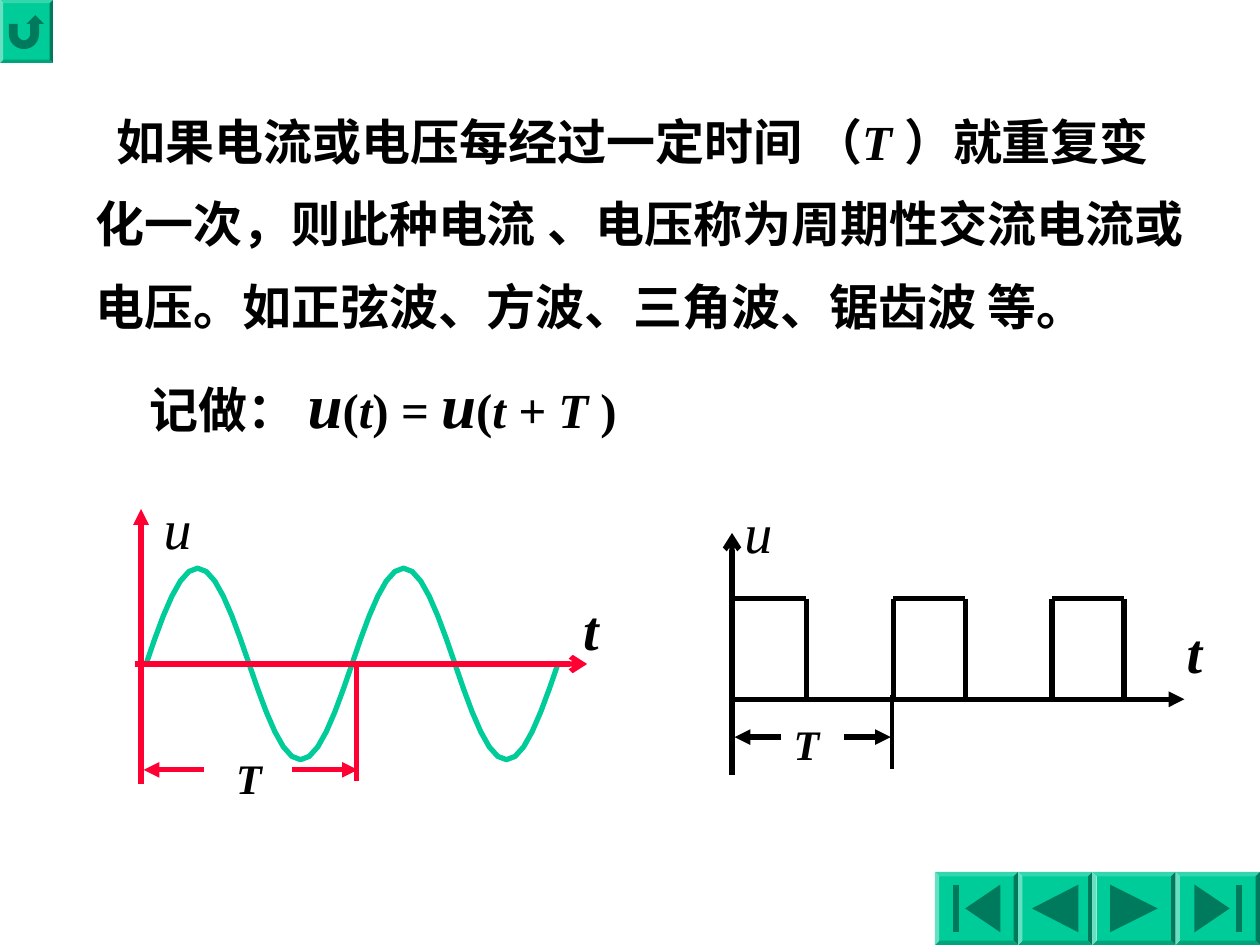
from dataclasses import dataclass
from math import cos, pi, sin

from lxml import etree
from pptx import Presentation
from pptx import util as u
from pptx.enum import shapes, text
from pptx.dml import color
from pptx.oxml import ns

HUES = {"red": "FF0033", "green": "00CC99", "dark": "007A5C", "black": "000000"}
LATIN, HAN = "Times New Roman", "Noto Sans CJK SC"
Point = tuple[float, float]


@dataclass
class Stroke:
    start: Point
    end: Point
    tip: str = ""
    width: float = 3


@dataclass
class Run:
    words: str
    size: float = 28
    italic: bool = False
    bold: bool = True
    font: str = LATIN


@dataclass
class Label:
    run: Run
    left: float
    top: float
    width: float
    height: float
    wrap: bool = True
    center: bool = False


@dataclass
class Button:
    left: float
    top: float
    width: float
    height: float
    bevel: float
    icons: list[list[Point]]


def hue(name: str) -> color.RGBColor:
    return color.RGBColor.from_string(HUES[name])


def draw_path(tree, points: list[Point], close: bool):
    spots = [(x * 1000, y * 1000) for x, y in points]
    pen = tree.build_freeform(*spots[0], scale=914.4)
    pen.add_line_segments(spots[1:], close=close)
    shape = pen.convert_to_shape()
    shape.shadow.inherit = False
    return shape


def draw_stroke(tree, stroke: Stroke, tint: str) -> None:
    ends = [u.Inches(n) for n in (*stroke.start, *stroke.end)]
    line = tree.add_connector(shapes.MSO_CONNECTOR.STRAIGHT, *ends)
    line.line.color.rgb = hue(tint)
    line.line.width = u.Pt(stroke.width)
    if stroke.tip:
        etree.SubElement(line.line._get_or_add_ln(), ns.qn("a:tailEnd"), type=stroke.tip)
    etree.SubElement(line.element.spPr, ns.qn("a:effectLst"))


def add_run(para, run: Run) -> None:
    piece = para.add_run()
    piece.text = run.words
    font = piece.font
    font.size, font.bold, font.italic = u.Pt(run.size), run.bold, run.italic
    font.color.rgb = hue("black")
    font.name = run.font
    etree.SubElement(piece.font._element, ns.qn("a:ea"), typeface=HAN)


def draw_label(tree, label: Label) -> None:
    place = (label.left, label.top, label.width, label.height)
    frame = tree.add_textbox(*map(u.Inches, place)).text_frame
    frame.word_wrap = label.wrap
    para = frame.paragraphs[0]
    if label.center:
        para.alignment = text.PP_ALIGN.CENTER
    add_run(para, label.run)


def draw_button(tree, button: Button) -> None:
    place = (button.left, button.top, button.width, button.height)
    base = tree.add_shape(shapes.MSO_SHAPE.BEVEL, *map(u.Inches, place))
    base.adjustments[0] = button.bevel
    base.shadow.inherit = False
    base.fill.solid()
    base.fill.fore_color.rgb = hue("green")
    base.line.fill.background()
    for points in button.icons:
        icon = draw_path(tree, points, True)
        icon.fill.solid()
        icon.fill.fore_color.rgb = hue("dark")
        icon.line.fill.background()


def arc(x: float, y: float, size: float, start: float, end: float) -> list[Point]:
    turns = [start + (end - start) * i / 12 for i in range(13)]
    return [(x + size * cos(a), y + size * sin(a)) for a in turns]


def wedge(tip: float, back: float) -> list[Point]:
    return [(tip, 7.21), (back, 7.02), (back, 7.4)]


def bar(left: float) -> list[Point]:
    right = left + 0.05
    return [(left, 7.02), (right, 7.02), (right, 7.4), (left, 7.4)]


def draw_body(tree) -> None:
    place = (0.66, 0.65, 8.91, 2.9)
    frame = tree.add_textbox(*map(u.Inches, place)).text_frame
    frame.word_wrap = True
    prose = [
        Run("如果电流或电压每经过一定时间", font=HAN),
        Run(" （"),
        Run("T ", italic=True),
        Run("）"),
        Run("就重复变化一次，则此种电流 、电压称为周期性交流电流或电压", font=HAN),
        Run("。如正弦波、方波、三角波、锯齿波 等。"),
    ]
    rule = [
        Run("记做： "),
        Run("u", 36, True),
        Run("("),
        Run("t", italic=True),
        Run(") = "),
        Run("u", 36, True),
        Run("("),
        Run("t + T", italic=True),
        Run(" )"),
    ]
    for i, (runs, inset) in enumerate([(prose, 0.17), (rule, 0.43)]):
        para = frame.add_paragraph() if i else frame.paragraphs[0]
        para.line_spacing = 1.4
        para._p.get_or_add_pPr().set("indent", str(u.Inches(inset)))
        for run in runs:
            add_run(para, run)


def draw_sine(tree) -> None:
    left, mid, high, half = 1.16, 5.27, 0.76, 0.817
    draw_stroke(tree, Stroke((1.12, 6.22), (1.12, 4.04), "triangle"), "red")
    for k in range(4):
        steps = [k + i / 12 for i in range(13)]
        wave = [(left + half * s, mid - high * sin(pi * s)) for s in steps]
        curve = draw_path(tree, wave, False)
        curve.fill.background()
        curve.line.color.rgb = hue("green")
        curve.line.width = u.Pt(3)
    for stroke in [
        Stroke((1.07, mid), (4.66, mid), "arrow"),
        Stroke((2.83, 5.28), (2.83, 6.2)),
        Stroke((2.32, 6.11), (2.84, 6.11), "triangle"),
        Stroke((1.62, 6.11), (1.14, 6.11), "triangle"),
    ]:
        draw_stroke(tree, stroke, "red")
    draw_label(tree, Label(Run("T", 24, True), 1.72, 5.92, 0.51, 0.5, center=True))
    draw_label(tree, Label(Run("u", 32, True, False), 1.2, 3.87, 0.59, 0.63))
    draw_label(tree, Label(Run("t", 32, True), 4.53, 4.67, 0.32, 0.64, False, True))


def draw_square(tree) -> None:
    top, base = 4.75, 5.55
    draw_label(tree, Label(Run("u", 32, True, False), 5.81, 3.9, 0.59, 0.63))
    for k in range(3):
        left = 5.83 + 1.26 * k
        right = left + 0.57
        draw_stroke(tree, Stroke((left, top), (right, top)), "black")
        for x in (left, right) if k else (right,):
            draw_stroke(tree, Stroke((x, top), (x, base)), "black")
    for stroke in [
        Stroke((5.83, base), (9.4, base), "triangle"),
        Stroke((6.7, 5.85), (7.07, 5.85), "triangle"),
        Stroke((6.2, 5.85), (5.83, 5.85), "triangle"),
        Stroke((5.81, 6.15), (5.81, 4.23), "arrow"),
        Stroke((7.08, 5.52), (7.08, 6.1), width=2.25),
    ]:
        draw_stroke(tree, stroke, "black")
    draw_label(tree, Label(Run("T", 24, True), 6.2, 5.65, 0.4, 0.5))
    draw_label(tree, Label(Run("t", 32, True), 9.32, 4.85, 0.32, 0.64, False, True))


def main() -> None:
    deck = Presentation()
    deck.slide_width, deck.slide_height = u.Inches(10), u.Inches(7.5)
    tree = deck.slides.add_slide(deck.slide_layouts[6]).shapes
    hook = [(0.07, 0.19), (0.14, 0.19), *arc(0.19, 0.27, 0.05, pi, 0)]
    hook += [(0.24, 0.19), (0.21, 0.19), (0.28, 0.12), (0.35, 0.19), (0.31, 0.19)]
    hook += arc(0.19, 0.27, 0.12, 0, pi)
    draw_button(tree, Button(0, 0, 0.42, 0.5, 0.06, [hook]))
    for left, width, icons in [
        (7.42, 0.66, [wedge(7.66, 7.94), bar(7.56)]),
        (8.08, 0.59, [wedge(8.19, 8.56)]),
        (8.67, 0.66, [wedge(9.19, 8.81)]),
        (9.33, 0.67, [wedge(9.76, 9.48), bar(9.81)]),
    ]:
        draw_button(tree, Button(left, 6.92, width, 0.58, 0.06, icons))
    draw_body(tree)
    draw_sine(tree.add_group_shape().shapes)
    draw_square(tree.add_group_shape().shapes)
    deck.save("out.pptx")


if __name__ == "__main__":
    main()
